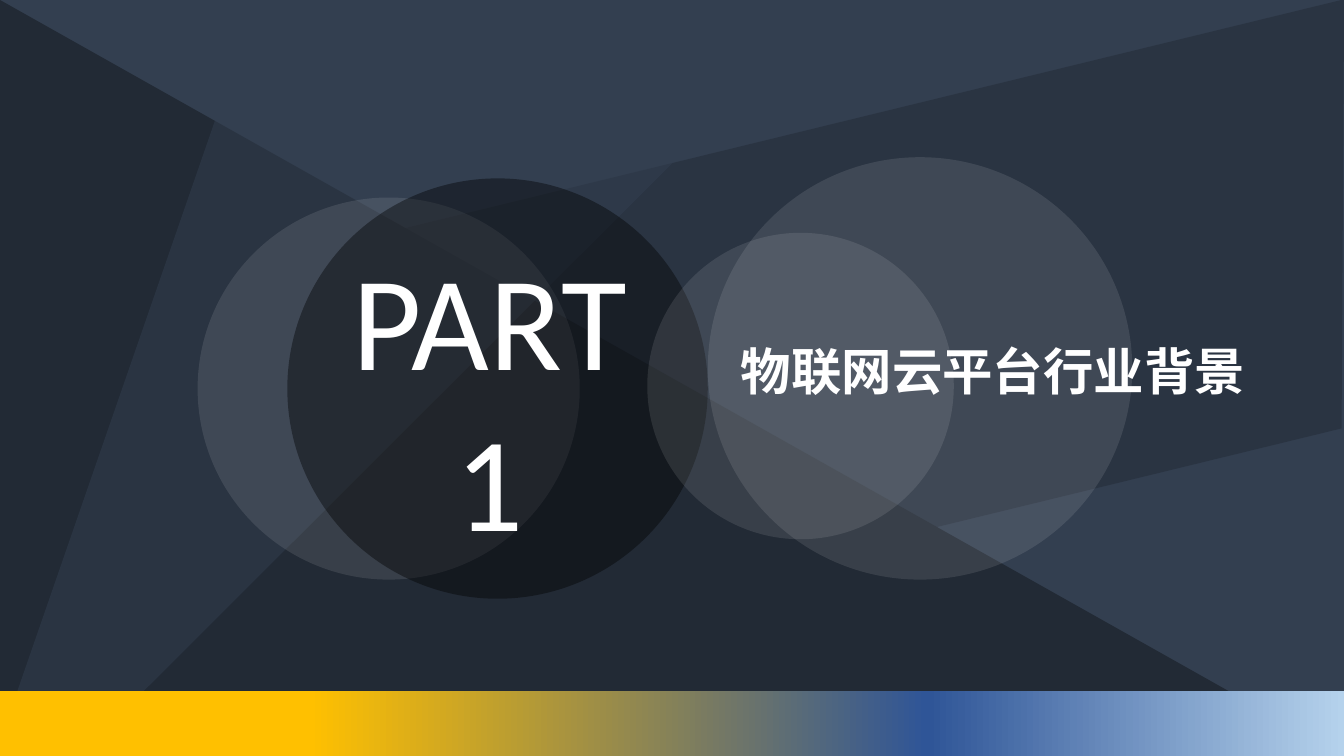
from lxml import etree
from pptx import Presentation
from pptx.dml.color import RGBColor
from pptx.enum import shapes, text
from pptx.oxml.ns import qn
from pptx.util import Inches, Pt

SHAPE = shapes.MSO_SHAPE
WIDTH, HEIGHT = 13.33, 7.5
NAVY, INK, WHITE, BLACK = "333F50", "222A35", "FFFFFF", "000000"
BAND_STOPS = [(23, "FFC000"), (69, "2F5597"), (100, "B5D2EC"), (100, "CEE1F2")]


def color(hex_code):
    return RGBColor.from_string(hex_code)


def add_shape(slide, kind, box, fill, opacity=100, rotation=0, adjust=None):
    shape = slide.shapes.add_shape(kind, *map(Inches, box))
    shape.shadow.inherit = False
    shape.line.fill.background()
    shape.fill.solid()
    shape.fill.fore_color.rgb = color(fill)
    shape.rotation = rotation
    if adjust is not None:
        shape.adjustments[0] = adjust
    if opacity < 100:
        tint = shape._element.spPr.find(qn("a:solidFill")).find(qn("a:srgbClr"))
        etree.SubElement(tint, qn("a:alpha"), val=str(opacity * 1000))
    return shape


def apply_gradient(shape, stops):
    shape.fill.gradient()
    shape.fill.gradient_angle = 0
    stop_list = shape._element.spPr.find(qn("a:gradFill")).find(qn("a:gsLst"))
    for default_stop in list(stop_list):
        stop_list.remove(default_stop)
    for position, hex_code in stops:
        stop = etree.SubElement(stop_list, qn("a:gs"), pos=str(position * 1000))
        etree.SubElement(stop, qn("a:srgbClr"), val=hex_code)


def add_text(slide, box, words, size, font, bold=False, align=text.PP_ALIGN.LEFT):
    frame = slide.shapes.add_textbox(*map(Inches, box)).text_frame
    frame.word_wrap = True
    frame.auto_size = text.MSO_AUTO_SIZE.SHAPE_TO_FIT_TEXT
    frame.text = words
    for paragraph in frame.paragraphs:
        paragraph.alignment = align
        for run in paragraph.runs:
            run.font.size = Pt(size)
            run.font.bold = bold
            run.font.name = font
            run.font.color.rgb = color(WHITE)
            etree.SubElement(run._r.get_or_add_rPr(), qn("a:ea"), typeface=font)


def add_backdrop(slide, left, top, width, height):
    slide.background.fill.solid()
    slide.background.fill.fore_color.rgb = color(NAVY)
    # Angular facets
    add_shape(slide, SHAPE.ISOSCELES_TRIANGLE, (left, top, width, height), INK, adjust=0)
    add_shape(slide, SHAPE.PARALLELOGRAM, (left - 0.71, top + 1.68, 14.74, 4.13),
              INK, opacity=50, rotation=346.3)
    add_shape(slide, SHAPE.ISOSCELES_TRIANGLE, (left + 1.18, top - 1.16, 5.41, 11.12),
              NAVY, opacity=50, rotation=199.1, adjust=1)
    # Colour band along the bottom
    band_height = 0.64
    band = add_shape(slide, SHAPE.RECTANGLE,
                     (left, top + height - band_height, width, band_height), NAVY)
    apply_gradient(band, BAND_STOPS)


def add_circles(slide, left, top):
    for dx, dy, width, height, fill, opacity in [
        (0, 0.4, 3.79, 3.79, WHITE, 10),
        (0.89, 0.21, 4.17, 4.17, BLACK, 40),
        (4.46, 0.75, 3.04, 3.04, WHITE, 10),
        (5.06, 0, 4.21, 4.19, WHITE, 10),
    ]:
        add_shape(slide, SHAPE.OVAL, (left + dx, top + dy, width, height), fill, opacity)


def add_heading(slide, left, top):
    add_text(slide, (left, top, 3.17, 3.33), "PART\n1", 96, "Calibri",
             align=text.PP_ALIGN.CENTER)
    add_text(slide, (left + 3.98, top + 1.03, 5.31, 0.71), "物联网云平台行业背景", 36,
             "Noto Sans CJK SC", bold=True)


def main():
    deck = Presentation()
    deck.slide_width, deck.slide_height = Inches(WIDTH), Inches(HEIGHT)
    section = deck.slides.add_slide(deck.slide_layouts[6])
    add_backdrop(section, 0, 0, WIDTH, HEIGHT)
    add_circles(section, 1.96, 1.56)
    add_heading(section, 3.27, 2.29)
    deck.save("out.pptx")


if __name__ == "__main__":
    main()
